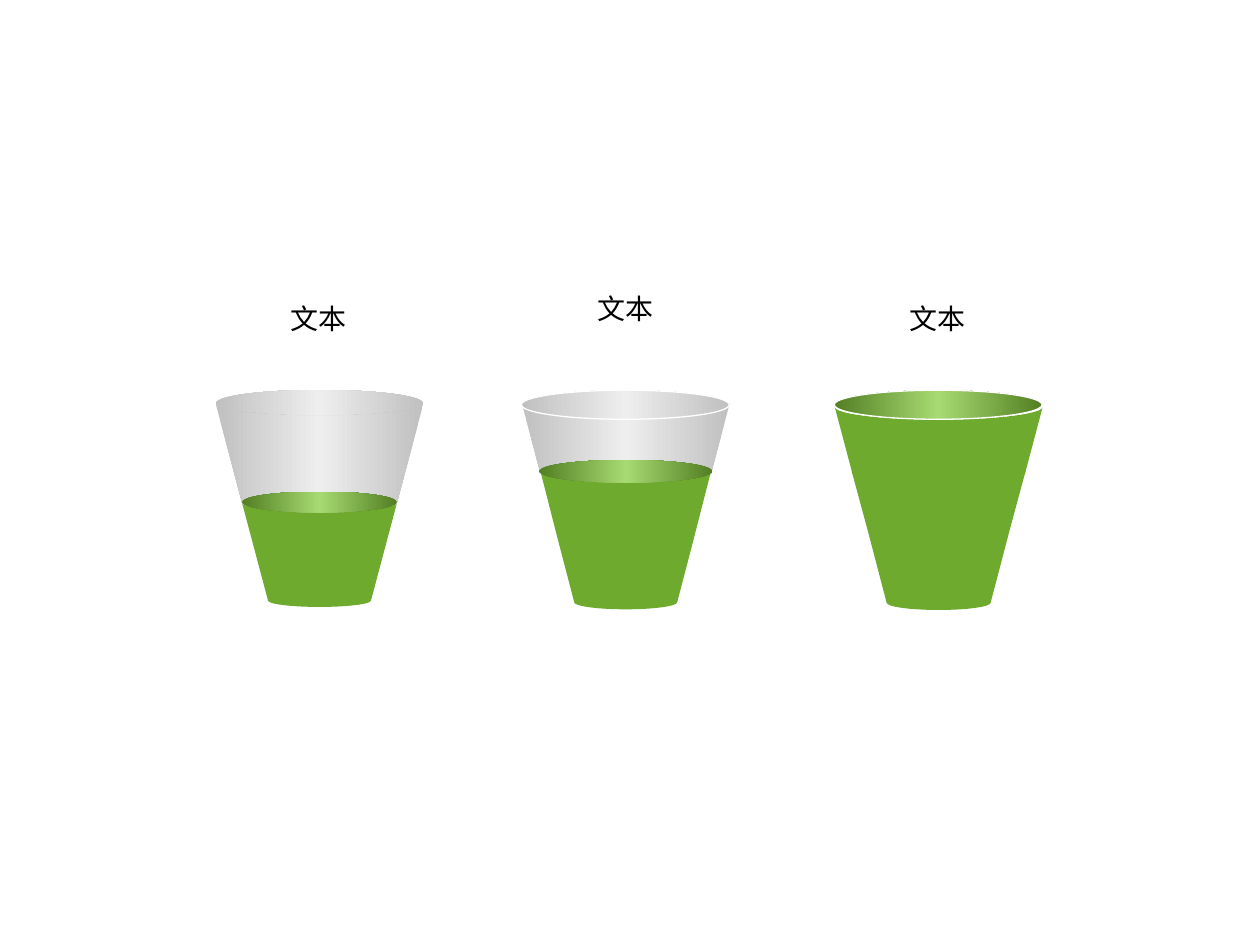
import copy

from lxml import etree
from pptx import Presentation
from pptx.dml.color import RGBColor
from pptx.enum.shapes import MSO_SHAPE
from pptx.enum.text import MSO_AUTO_SIZE, PP_ALIGN
from pptx.oxml.ns import qn
from pptx.util import Pt

OVAL = MSO_SHAPE.OVAL
CENTER = PP_ALIGN.CENTER
FIT_SHAPE = MSO_AUTO_SIZE.SHAPE_TO_FIT_TEXT

FONT = "Noto Sans CJK SC"
BLACK = RGBColor(0x00, 0x00, 0x00)
WHITE = RGBColor(0xFF, 0xFF, 0xFF)
GREEN = RGBColor(0x6D, 0xAA, 0x2D)
GLASS = (RGBColor(0xC0, 0xC0, 0xC0), RGBColor(0xEE, 0xEE, 0xEE))
LIQUID = (RGBColor(0x52, 0x7F, 0x22), RGBColor(0xA8, 0xDA, 0x73))

RIM_HALF_WIDTH = 59.4
ROUND = 0.55  # handle length of a Bezier quarter circle
# Lower half of a unit circle: start, then two Bezier quarters
HALF_CIRCLE = ((-1, 0), (-1, ROUND), (-ROUND, 1), (0, 1),
               (ROUND, 1), (1, ROUND), (1, 0))


def apply_gradient(shape, edge, middle):
    """Fill from edge to middle and back to edge, left to right."""
    shape.fill.gradient()
    shape.fill.gradient_angle = 0
    stop_list = next(shape._element.iter(qn("a:gsLst")))
    stop_list.insert(1, copy.deepcopy(stop_list[0]))
    stops = zip(shape.fill.gradient_stops, (0, 0.5, 1), (edge, middle, edge))
    for stop, position, color in stops:
        stop.position = position
        stop.color.rgb = color


def style(shape, fill, line=None):
    shape.shadow.inherit = False
    if isinstance(fill, RGBColor):
        shape.fill.solid()
        shape.fill.fore_color.rgb = fill
    else:
        apply_gradient(shape, *fill)
    if line is None:
        shape.line.fill.background()
    else:
        shape.line.color.rgb = line
        shape.line.width = Pt(0.75)


def add_ellipse(shapes, center, top, half_width, height, fill, line=None):
    shape = shapes.add_shape(
        OVAL, Pt(center - half_width), Pt(top), Pt(2 * half_width), Pt(height))
    style(shape, fill, line)


def lower_arc(center, half_width, y, sag):
    """Bezier points of a lower half ellipse, from left to right."""
    return [(Pt(center + half_width * across), Pt(y + sag * down))
            for across, down in HALF_CIRCLE]


def bend_segments(shape):
    """Turn the straight runs along both arcs into Bezier curves."""
    segments = list(shape._element.iter(qn("a:lnTo")))
    for start in (0, 3, 7, 10):
        first, *others = segments[start:start + 3]
        curve = etree.Element(qn("a:cubicBezTo"))
        first.addprevious(curve)
        for segment in (first, *others):
            curve.append(segment[0])
            segment.getparent().remove(segment)


def add_band(shapes, center, upper, lower, fill, line=None):
    """Draw a cup wall; each edge is (half width, y, sag)."""
    points = lower_arc(center, *upper) + lower_arc(center, *lower)[::-1]
    builder = shapes.build_freeform(*points[0], scale=1.0)
    builder.add_line_segments(points[1:], close=True)
    shape = builder.convert_to_shape()
    bend_segments(shape)
    style(shape, fill, line)


def add_label(shapes, left, top, width):
    box = shapes.add_textbox(Pt(left), Pt(top), Pt(width), Pt(19.4))
    frame = box.text_frame
    frame.word_wrap = True
    frame.auto_size = FIT_SHAPE
    frame.margin_left = frame.margin_right = 0
    frame.margin_top = frame.margin_bottom = 0
    paragraph = frame.paragraphs[0]
    paragraph.text = "文本"
    paragraph.alignment = CENTER
    paragraph.font.size = Pt(16)
    paragraph.font.color.rgb = BLACK
    paragraph.font.name = FONT
    # East Asian text needs its own typeface element
    properties = next(paragraph._p.iter(qn("a:defRPr")))
    etree.SubElement(properties, qn("a:ea"), typeface=FONT)


def add_low_cup(shapes, center):
    level = (44.3, 287.2, 5)
    add_ellipse(shapes, center, 222.8, RIM_HALF_WIDTH, 15.1, GLASS)
    add_band(shapes, center, level, (29.4, 343.2, 3.6), GREEN)
    add_band(shapes, center, (RIM_HALF_WIDTH, 230.4, 7.2), level, GLASS)
    add_ellipse(shapes, center, 280.9, 44.3, 12, LIQUID)


def add_banded_cup(shapes, center, rim_y, middle_y, wall, rim, line=None):
    add_ellipse(shapes, center, 223.9, RIM_HALF_WIDTH, 14.4, GLASS)
    add_band(shapes, center, (39.2, 306.7, 4.3), (29.4, 344.2, 4), GREEN, line)
    add_band(shapes, center, (49.3, middle_y, 6), (39.2, 306.7, 5), GREEN, line)
    add_band(shapes, center, (RIM_HALF_WIDTH, rim_y, 7.2),
             (49.3, middle_y + 1.4, 6), wall)
    add_ellipse(shapes, center - 0.3, 223, RIM_HALF_WIDTH, 16.6, rim, WHITE)


def main():
    presentation = Presentation()
    presentation.slide_width = Pt(720)
    presentation.slide_height = Pt(540)
    slide = presentation.slides.add_slide(presentation.slide_layouts[6])
    shapes = slide.shapes

    # Labels above the cups
    for left, top, width in ((320.4, 166.7, 74.2), (475.6, 172.5, 120.2),
                             (123.4, 172.5, 117.4)):
        add_label(shapes, left, top, width)

    # Low cup
    add_low_cup(shapes, 182.6)

    # Full cup
    full_cup = shapes.add_group_shape().shapes
    add_banded_cup(full_cup, 536.4, 232.6, 269.3, GREEN, LIQUID, GREEN)

    # Cup filled to two thirds
    partial_cup = shapes.add_group_shape().shapes
    add_banded_cup(partial_cup, 357.6, 230.4, 267.1, GLASS, GLASS)
    add_ellipse(partial_cup, 357.6, 262.8, 49.6, 13, LIQUID)

    presentation.save("out.pptx")


if __name__ == "__main__":
    main()
